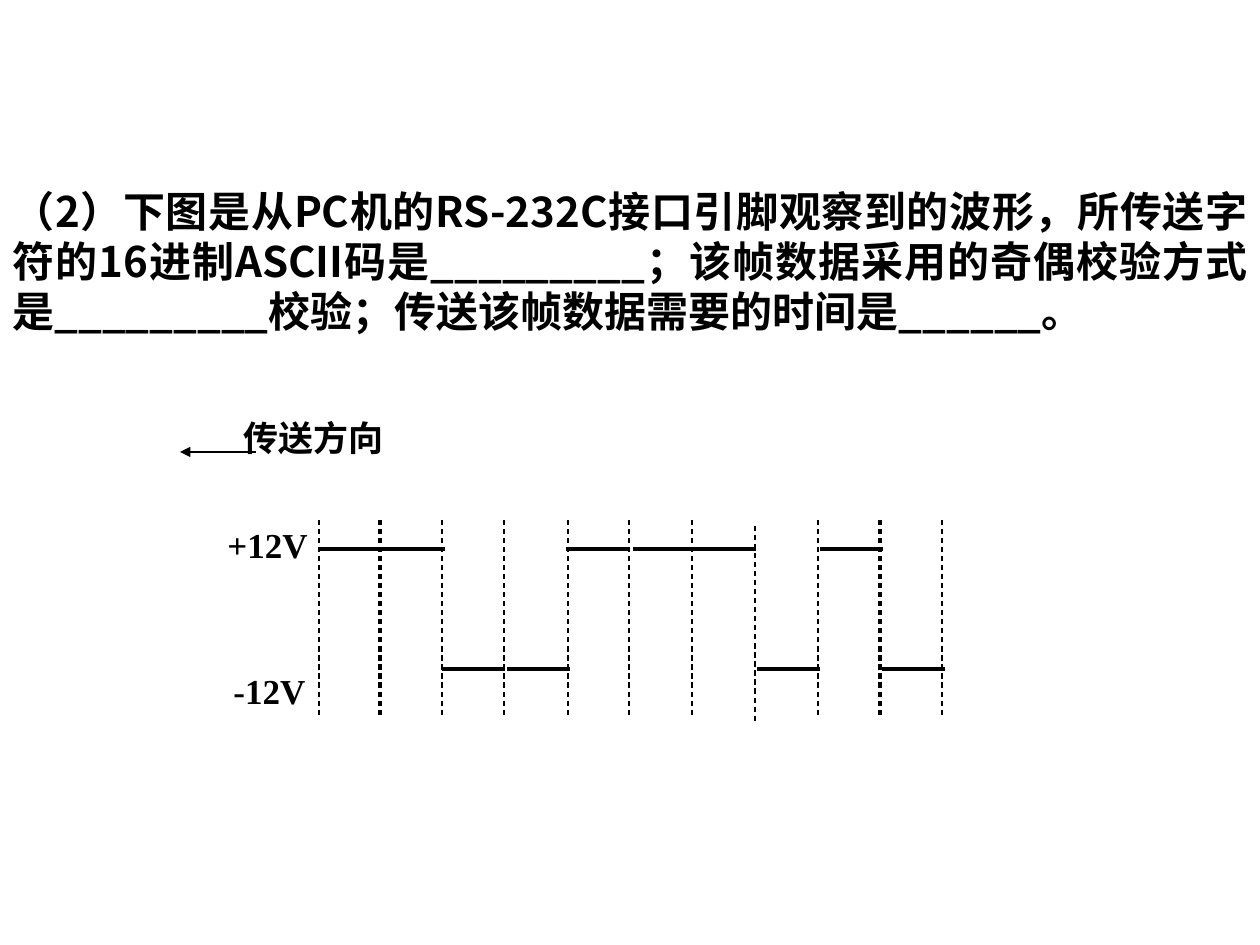
from lxml import etree
from pptx import Presentation
from pptx import util as u
from pptx.dml.color import RGBColor
from pptx.enum import dml, shapes, text
from pptx.oxml.ns import qn

EMU_PER_PX = 914400 / 126
COLORS = {"ink": "000000", "paper": "FFFFFF"}
CJK, LATIN = "Noto Sans CJK SC", "Times New Roman"

QUESTION = ("（2）下图是从PC机的RS-232C接口引脚观察到的波形，所传送字符的16进制ASCII码是"
            "_________；该帧数据采用的奇偶校验方式是_________校验；"
            "传送该帧数据需要的时间是______。")

# text, (left, top, width, height), size in points, latin font
TEXTS = [
    (QUESTION, (0, 179, 1260, 214), 24, CJK),
    ("传送方向", (231, 410, 253, 92), 20, LATIN),
    ("+12V", (215, 517, 134, 94), 20, LATIN),
    ("-12V", (221, 663, 107, 83), 20, LATIN),
]

# Waveform: left end of each bit and its level
LEVEL_Y = {"high": 549, "low": 669}
BIT_W = 63
BITS = [(320, "high"), (382, "high"), (442, "low"), (507, "low"), (566, "high"),
        (633, "high"), (693, "high"), (757, "low"), (820, "high"), (882, "low")]

# Dashed bit boundaries
GRID_X = [319, 379, 381, 442, 504, 568, 629, 692, 755, 818, 879, 881, 942]
GRID_TOP, GRID_H = 520, 195
GRID_SHIFT = {755: 6}

ARROW = (256, 452, 180, 452)


def px(n):
    return u.Emu(round(n * EMU_PER_PX))


def color(name):
    return RGBColor.from_string(COLORS[name])


def add_line(s, x1, y1, x2, y2, width, dash=None):
    c = s.shapes.add_connector(shapes.MSO_CONNECTOR.STRAIGHT,
                               px(x1), px(y1), px(x2), px(y2))
    c.line.color.rgb = color("ink")
    c.line.width = u.Pt(width)
    if dash:
        c.line.dash_style = dash
    etree.SubElement(c._element.spPr, qn("a:effectLst"))
    return c


def add_text(s, content, box, size, font):
    tf = s.shapes.add_textbox(*map(px, box)).text_frame
    tf.word_wrap = True
    p = tf.paragraphs[0]
    p.alignment = text.PP_ALIGN.JUSTIFY
    r = p.add_run()
    r.text = content
    r.font.size = u.Pt(size)
    r.font.bold = True
    r.font.name = font
    r.font.color.rgb = color("ink")
    etree.SubElement(r.font._element, qn("a:ea"), typeface=CJK)


def main():
    prs = Presentation()
    prs.slide_width, prs.slide_height = px(1260), px(945)
    s = prs.slides.add_slide(prs.slide_layouts[6])
    s.background.fill.solid()
    s.background.fill.fore_color.rgb = color("paper")

    # Question and labels
    for item in TEXTS:
        add_text(s, *item)

    # Direction arrow
    arrow = add_line(s, *ARROW, 0.75)
    etree.SubElement(arrow.line._get_or_add_ln(), qn("a:tailEnd"), type="triangle")

    # Bit boundaries
    for x in GRID_X:
        top = GRID_TOP + GRID_SHIFT.get(x, 0)
        add_line(s, x, top, x, top + GRID_H, 0.75, dml.MSO_LINE.DASH)

    # Signal levels
    for x, level in BITS:
        add_line(s, x, LEVEL_Y[level], x + BIT_W, LEVEL_Y[level], 2)

    prs.save("out.pptx")


if __name__ == "__main__":
    main()
